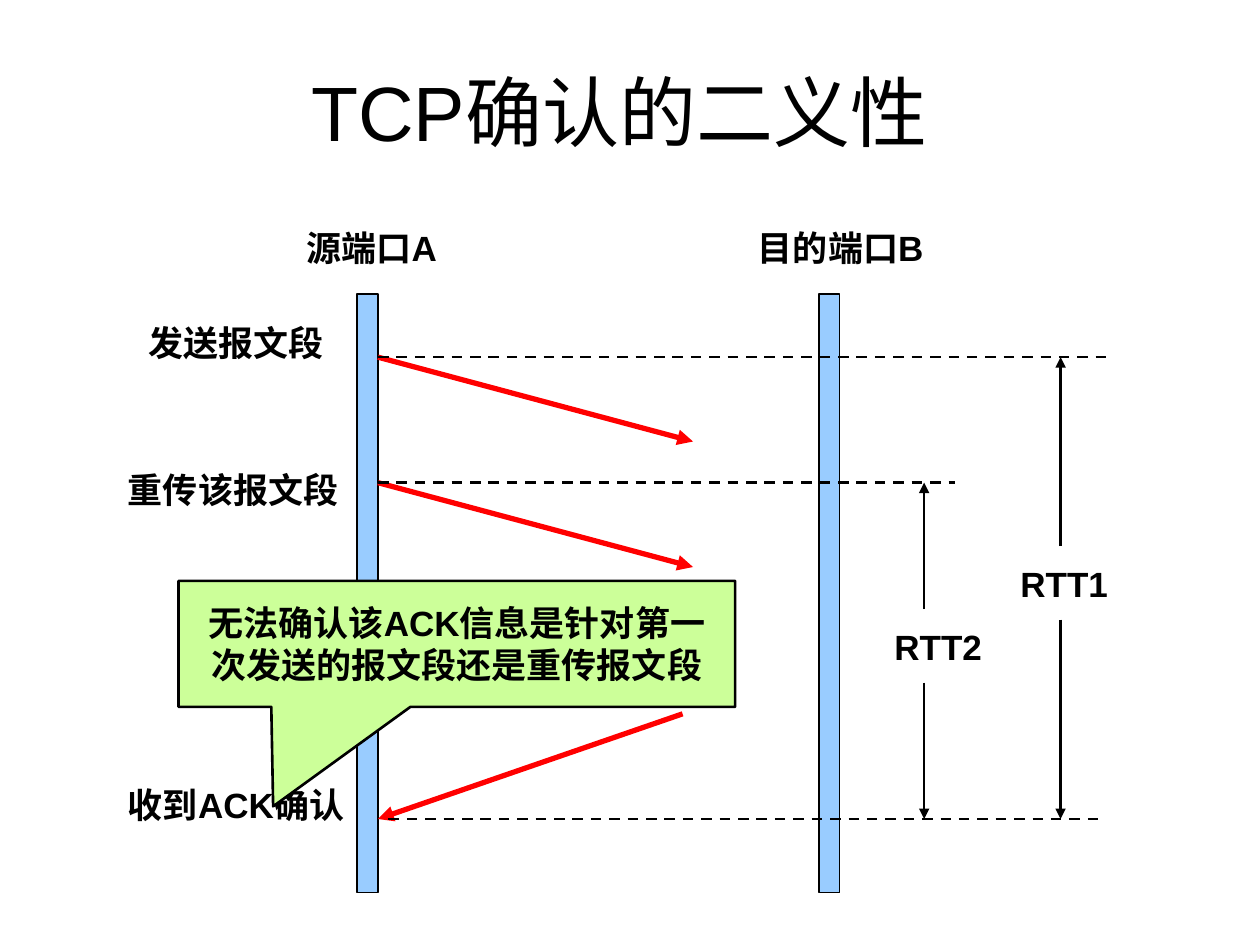
"""Build a slide on the ambiguity of TCP acknowledgements."""
from lxml.etree import SubElement
from pptx import Presentation
from pptx.dml.color import RGBColor as Rgb
from pptx.enum.dml import MSO_LINE as Dash
from pptx.enum.shapes import MSO_CONNECTOR as Link, MSO_SHAPE as Shape
from pptx.enum.text import MSO_ANCHOR as Anchor, PP_ALIGN as Align
from pptx.oxml.ns import qn
from pptx.util import Cm, Pt

THEME = {
    "font": "Arial", "title": 44, "body": 20,
    "ink": "000000", "bar": "99CCFF", "send": "FF0000", "note": "CCFF99",
    "thin": 0.75, "line": 1.5, "thick": 3,
}

TITLE = "TCP确认的二义性"
NOTE = "无法确认该ACK信息是针对第一次发送的报文段还是重传报文段"
SENT, AGAIN, ACK = 7.2, 9.73, 16.51
BARS = [7.2, 16.51]
BAR_TOP, BAR_W, BAR_H = 5.93, 0.42, 12.07
EDGE = BARS[0] + BAR_W
RUN, DROP = 6.35, 1.7
LABELS = [
    ("源端口A", 5.93, 4.44, 4.02),
    ("目的端口B", 15.03, 4.44, 4.66),
    ("发送报文段", 2.75, 6.35, 4.23),
    ("重传该报文段", 2.33, 9.31, 5.29),
    ("收到ACK确认", 2.33, 15.66, 6.35),
]
GUIDES = [(EDGE, SENT, 22.44), (EDGE, AGAIN, 19.26), (7.83, ACK, 22.23)]
SPANS = [
    ("RTT2", 17.78, 12.49, 18.63, AGAIN),
    ("RTT1", 20.32, 11.22, 21.38, SENT),
]


def tint(name):
    return Rgb.from_string(THEME[name])


def style(para, size="body", bold=True):
    font = para.font
    font.name, font.size, font.bold = THEME["font"], Pt(THEME[size]), bold
    font.color.rgb = tint("ink")


def box(slide, kind, place, fill, width):
    shape = slide.shapes.add_shape(kind, *map(Cm, place))
    shape.shadow.inherit = False
    shape.fill.solid()
    shape.fill.fore_color.rgb = tint(fill)
    shape.line.color.rgb = tint("ink")
    shape.line.width = Pt(THEME[width])
    return shape


def label(slide, text, left, top, width):
    frame = slide.shapes.add_textbox(*map(Cm, (left, top, width, 1.09))).text_frame
    frame.word_wrap = True
    frame.text = text
    style(frame.paragraphs[0])


def line(slide, ends, color="ink", width="line", dash=False, head=True):
    link = slide.shapes.add_connector(Link.STRAIGHT, *map(Cm, ends))
    link.line.color.rgb = tint(color)
    link.line.width = Pt(THEME[width])
    if dash:
        link.line.dash_style = Dash.DASH
    props = link._element.spPr
    if head:
        SubElement(props.find(qn("a:ln")), qn("a:tailEnd"), type="triangle")
    SubElement(props, qn("a:effectLst"))


def main():
    deck = Presentation()
    deck.slide_width, deck.slide_height = Cm(25.4), Cm(19.05)
    slide = deck.slides.add_slide(deck.slide_layouts[5])

    title = slide.shapes.title
    title.left, title.top, title.width, title.height = map(Cm, (1.06, 0.64, 22.86, 3.18))
    title.text_frame.text = TITLE
    title.text_frame.vertical_anchor = Anchor.MIDDLE
    head = title.text_frame.paragraphs[0]
    head.alignment = Align.CENTER
    style(head, "title", False)

    for left in BARS:
        box(slide, Shape.RECTANGLE, (left, BAR_TOP, BAR_W, BAR_H), "bar", "thin")
    for top in (SENT, AGAIN):
        line(slide, (EDGE, top, EDGE + RUN, top + DROP), "send", "thick")
    line(slide, (13.76, 14.39, EDGE, ACK), "send", "thick")
    for left, top, right in GUIDES:
        line(slide, (left, top, right, top), dash=True, head=False)
    for item in LABELS:
        label(slide, *item)
    for text, left, top, mid, start in SPANS:
        label(slide, text, left, top, 2.75)
        line(slide, (mid, top - 0.21, mid, start))
        line(slide, (mid, top + 1.27, mid, ACK))

    note = box(slide, Shape.RECTANGULAR_CALLOUT, (3.6, 11.71, 11.22, 2.54), "note", "line")
    note.adjustments[0], note.adjustments[1] = -0.33, 1.29
    frame = note.text_frame
    frame.word_wrap = True
    frame.vertical_anchor = Anchor.MIDDLE
    frame.text = NOTE
    frame.paragraphs[0].alignment = Align.CENTER
    style(frame.paragraphs[0])

    deck.save("out.pptx")


if __name__ == "__main__":
    main()
